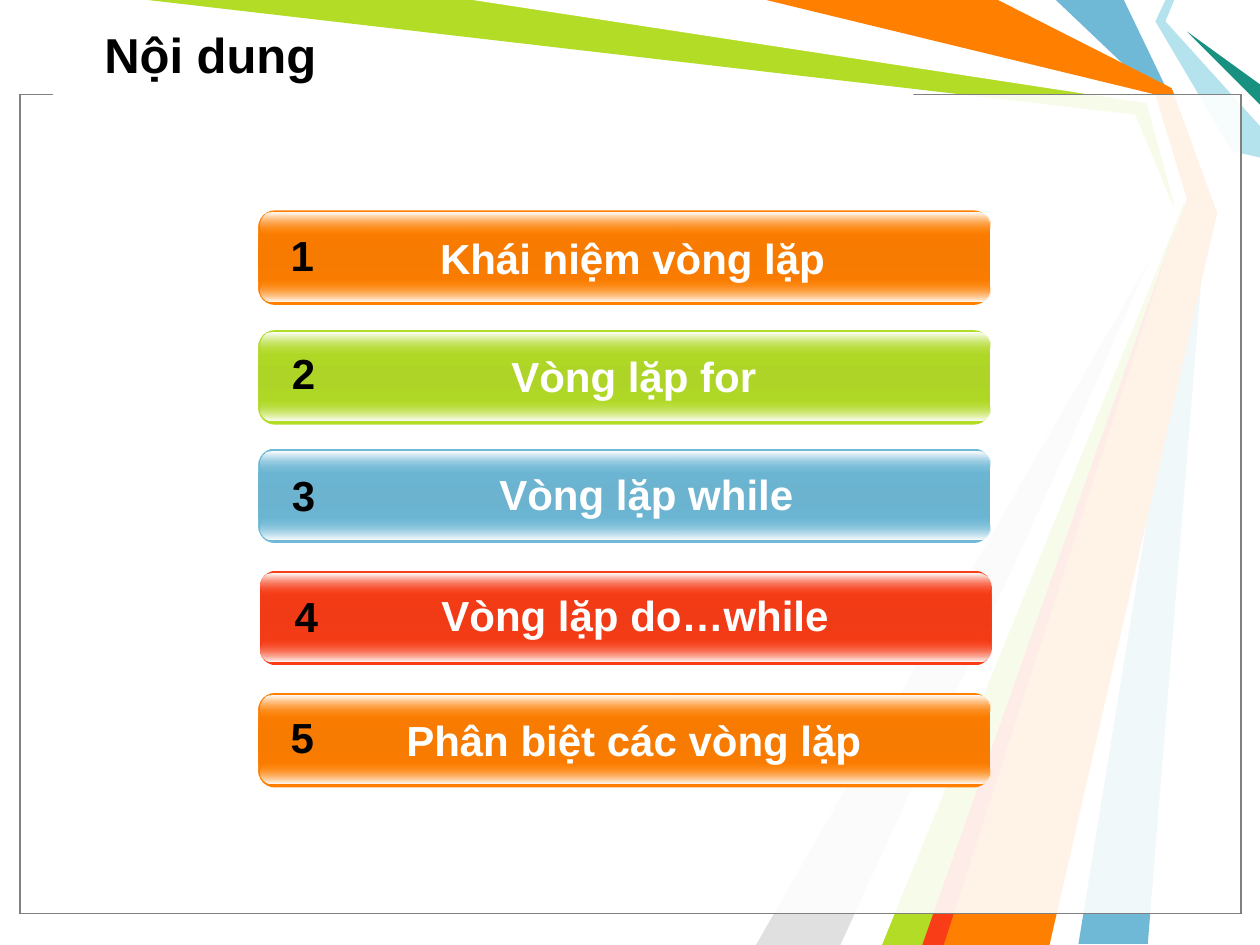
from dataclasses import dataclass

from lxml import etree
from pptx import Presentation
from pptx.dml.color import RGBColor
from pptx.enum.shapes import MSO_SHAPE
from pptx.enum.text import MSO_ANCHOR, MSO_AUTO_SIZE, PP_ALIGN
from pptx.oxml.ns import qn
from pptx.util import Emu, Inches, Pt

RECTANGLE, ROUNDED = MSO_SHAPE.RECTANGLE, MSO_SHAPE.ROUNDED_RECTANGLE
LEFT, CENTER = PP_ALIGN.LEFT, PP_ALIGN.CENTER
TOP, MIDDLE = MSO_ANCHOR.TOP, MSO_ANCHOR.MIDDLE
NO_RESIZE, GROW = MSO_AUTO_SIZE.NONE, MSO_AUTO_SIZE.SHAPE_TO_FIT_TEXT

# The slide is a grid of square cells, 1000 columns by 750 rows
WIDTH, HEIGHT = Inches(10), Inches(7.5)
COLUMNS = 1000
CELL = WIDTH // COLUMNS


@dataclass(frozen=True)
class Theme:
    font: str = "Arial"
    title_size: int = 28
    item_size: int = 24
    frame_line: float = 0.75
    white: str = "FFFFFF"
    black: str = "000000"
    gray: str = "808080"
    pale_gray: str = "E0E0E0"
    blue: str = "6FB9D7"
    blue_mid: str = "6BB3CF"
    pale_blue: str = "B4E3EE"
    green: str = "B3DC27"
    green_mid: str = "ADD426"
    teal: str = "189180"
    orange: str = "FF7F00"
    orange_mid: str = "F67B00"
    red: str = "F93D17"
    red_mid: str = "F03B16"


THEME = Theme()

# Streaks behind the content: colour and corner points (column, row)
STREAKS = [
    (THEME.blue, [(892, 0), (929, 77), (958, 167), (911, 749), (856, 749),
                  (950, 167), (917, 75), (838, 0)]),
    (THEME.green, [(117, 0), (383, 0), (914, 78), (942, 169), (742, 750),
                   (692, 750), (935, 173), (901, 91)]),
    (THEME.pale_gray, [(667, 750), (927, 181), (600, 750)]),
    (THEME.white, [(375, 0), (910, 82), (932, 162), (675, 750), (700, 750),
                   (941, 158), (917, 75), (600, 0)]),
    (THEME.pale_blue, [(925, 0), (917, 17), (978, 120), (1000, 125),
                       (1000, 100), (925, 17), (932, 0)]),
    (THEME.teal, [(1000, 83), (942, 25), (1000, 67)]),
]
FRONT_STREAKS = [
    (THEME.orange, [(608, 0), (792, 0), (930, 70), (966, 169), (833, 750),
                    (733, 750), (942, 158), (917, 75)]),
    (THEME.red, [(732, 750), (932, 183), (749, 750)]),
]

# Agenda: text, bar colours, bar corner, label corner, number corner
AGENDA = [
    ("Khái niệm vòng lặp", THEME.orange, THEME.orange_mid,
     (205, 167), (256, 180), (219, 177)),
    ("Vòng lặp for", THEME.green, THEME.green_mid,
     (205, 262), (257, 273), (220, 271)),
    ("Vòng lặp while", THEME.blue, THEME.blue_mid,
     (205, 356), (267, 367), (220, 368)),
    ("Vòng lặp do…while", THEME.red, THEME.red_mid,
     (206, 453), (258, 463), (222, 464)),
    ("Phân biệt các vòng lặp", THEME.orange, THEME.orange_mid,
     (205, 550), (257, 562), (219, 560)),
]
BAR_SIZE, GLOSS_SIZE = (581, 75), (579, 18)
LABEL_SIZE, NUMBER_SIZE = (492, 50), (42, 50)
GLOSS_LEFT, GLOSS_TOP, GLOSS_BOTTOM = 207, 2, 54


def cells(*counts):
    return [Emu(count * CELL) for count in counts]


def fill_solid(shape, color, opacity=100):
    shape.fill.solid()
    shape.fill.fore_color.rgb = RGBColor.from_string(color)
    if opacity < 100:
        swatch = shape.fill._xPr.find(".//" + qn("a:srgbClr"))
        etree.SubElement(swatch, qn("a:alpha"), val=str(opacity * 1000))


def fill_gradient(shape, stops):
    """Run a gradient from top to bottom; a stop is (percent, colour, opacity)."""
    shape.fill.gradient()
    shape.fill.gradient_angle = 270
    stop_list = shape.fill._xPr.find(".//" + qn("a:gsLst"))
    for stop in list(stop_list):
        stop_list.remove(stop)
    for percent, color, opacity in stops:
        stop = etree.SubElement(stop_list, qn("a:gs"), pos=str(percent * 1000))
        swatch = etree.SubElement(stop, qn("a:srgbClr"), val=color)
        if opacity < 100:
            etree.SubElement(swatch, qn("a:alpha"), val=str(opacity * 1000))


def add_block(shapes, kind, corner, size):
    block = shapes.add_shape(kind, *cells(*corner, *size))
    block.shadow.inherit = False
    block.line.fill.background()
    return block


def add_streak(shapes, color, points):
    start, *others = [cells(*point) for point in points]
    builder = shapes.build_freeform(*start, scale=1.0)
    builder.add_line_segments(others, close=True)
    streak = builder.convert_to_shape()
    streak.shadow.inherit = False
    streak.line.fill.background()
    fill_solid(streak, color)


def add_frame(page):
    """Two translucent sheets, then a mask that opens the top edge."""
    sheets = page.shapes.add_group_shape().shapes
    for color in (THEME.black, THEME.gray):
        sheet = add_block(sheets, RECTANGLE, (16, 75), (969, 650))
        fill_solid(sheet, THEME.white, 69)
        sheet.line.color.rgb = RGBColor.from_string(color)
        sheet.line.width = Pt(THEME.frame_line)
    fill_solid(add_block(page.shapes, RECTANGLE, (42, 74), (683, 17)), THEME.white)


def add_bar(page, color, middle, corner):
    """A rounded bar with a gloss along its lower and upper edges."""
    parts = page.shapes.add_group_shape().shapes
    top = corner[1]
    clear, shine = (color, 0), (THEME.white, 100)
    layers = [
        (corner, BAR_SIZE, 0.175,
         [(0, color, 100), (50, middle, 100), (100, color, 100)]),
        ((GLOSS_LEFT, top + GLOSS_BOTTOM), GLOSS_SIZE, 0.5,
         [(0, *clear), (100, *shine)]),
        ((GLOSS_LEFT, top + GLOSS_TOP), GLOSS_SIZE, 0.5,
         [(0, *shine), (100, *clear)]),
    ]
    for place, size, rounding, stops in layers:
        layer = add_block(parts, ROUNDED, place, size)
        layer.adjustments[0] = rounding
        fill_gradient(layer, stops)


def add_text(page, text, corner, size, color, points=THEME.item_size,
             align=CENTER, anchor=TOP, resize=GROW):
    frame = page.shapes.add_textbox(*cells(*corner, *size)).text_frame
    frame_format = {"word_wrap": True, "auto_size": resize, "vertical_anchor": anchor}
    for name, value in frame_format.items():
        setattr(frame, name, value)
    para = frame.paragraphs[0]
    para.alignment = align
    span = para.add_run()
    span.text = text
    for name, value in {"name": THEME.font, "size": Pt(points), "bold": True}.items():
        setattr(span.font, name, value)
    span.font.color.rgb = RGBColor.from_string(color)


def main():
    deck = Presentation()
    deck.slide_width, deck.slide_height = WIDTH, HEIGHT
    page = deck.slides.add_slide(deck.slide_layouts[6])

    # Background
    for color, points in STREAKS:
        add_streak(page.shapes, color, points)
    front = page.shapes.add_group_shape().shapes
    for color, points in FRONT_STREAKS:
        add_streak(front, color, points)
    add_frame(page)

    # Title
    add_text(page, "Nội dung", (73, 8), (911, 69), THEME.black,
             THEME.title_size, LEFT, MIDDLE, NO_RESIZE)

    # Agenda
    for number, item in enumerate(AGENDA, start=1):
        text, color, middle, bar_corner, label_corner, number_corner = item
        add_bar(page, color, middle, bar_corner)
        add_text(page, text, label_corner, LABEL_SIZE, THEME.white)
        add_text(page, str(number), number_corner, NUMBER_SIZE, THEME.black)

    deck.save("out.pptx")


if __name__ == "__main__":
    main()
